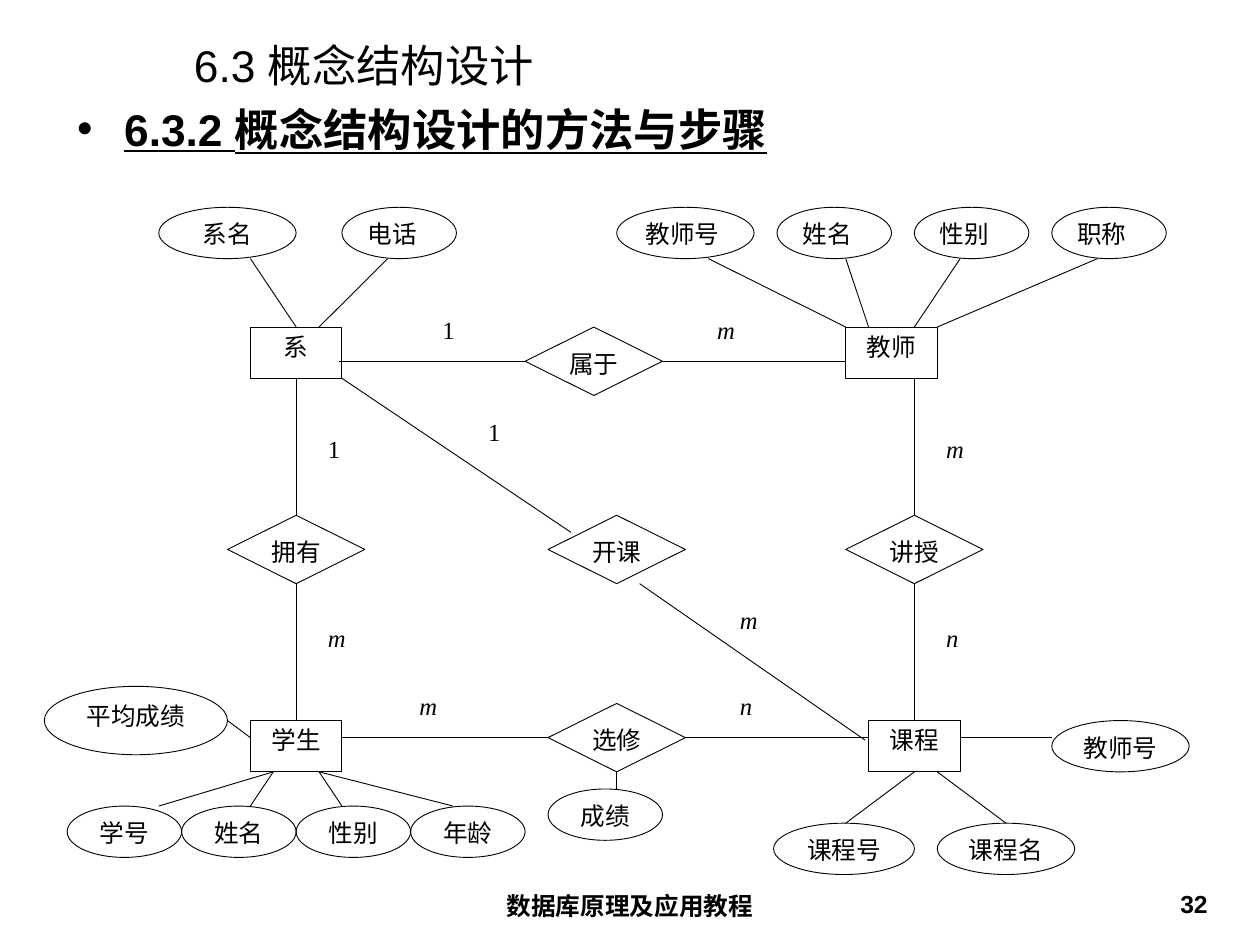
from typing import NamedTuple

from lxml.etree import SubElement
from pptx import Presentation
from pptx.dml.color import RGBColor
from pptx.enum.shapes import MSO_CONNECTOR, MSO_SHAPE
from pptx.enum.text import MSO_ANCHOR, PP_ALIGN
from pptx.oxml.ns import qn
from pptx.util import Cm, Pt

COLORS = {"ink": "000000", "paper": "FFFFFF"}
GRID_COLUMNS, GRID_ROWS = 50, 39
WIDE_MARGINS, NARROW_MARGINS = (0.36, 0.18), (0.25, 0.13)
LEFT, CENTER, RIGHT = PP_ALIGN.LEFT, PP_ALIGN.CENTER, PP_ALIGN.RIGHT

ENTITIES = [("系", 9, 7), ("教师", 35, 7), ("学生", 9, 30), ("课程", 36, 30)]
RELATIONS = [
    ("属于", 21, 7), ("拥有", 8, 18), ("开课", 22, 18),
    ("讲授", 35, 18), ("选修", 22, 29),
]
ATTRIBUTES = [
    ("系名", 5, 0, 6, 3, CENTER), ("电话", 13, 0, 5, 3, LEFT),
    ("教师号", 25, 0, 6, 3, LEFT),
    *[(name, 32 + 6 * i, 0, 5, 3, LEFT) for i, name in enumerate(["姓名", "性别", "职称"])],
    *[(name, 1 + 5 * i, 35, 5, 3, CENTER)
      for i, name in enumerate(["学号", "姓名", "性别", "年龄"])],
    ("平均成绩", 0, 28, 8, 4, CENTER), ("成绩", 22, 34, 5, 3, CENTER),
    ("教师号", 44, 30, 6, 3, CENTER), ("课程号", 31.85, 36, 6.15, 3, CENTER),
    ("课程名", 39, 36, 6, 3, CENTER),
]
CARDINALITIES = [
    ("1", 17, 6), ("m", 29, 6), ("1", 12, 13), ("m", 12, 24), ("1", 19, 12),
    ("m", 30, 23), ("m", 39, 13), ("n", 39, 24), ("m", 16, 28), ("n", 30, 28),
]
LINKS = [
    ((9, 3), (11, 7)), ((12, 7), (15, 3)),
    ((29, 3), (35, 7)), ((35, 3), (36, 7)), ((40, 3), (38, 7)), ((46, 3), (39, 7)),
    ((12.85, 9), (21, 9)), ((27, 9), (35, 9)),
    ((11, 10), (11, 18)), ((11, 22), (11, 30)),
    ((13, 10), (23, 19)), ((26, 22), (35.85, 31.15)),
    ((38, 10), (38, 18)), ((38, 22), (38, 30)),
    ((13, 31), (22, 31)), ((28, 31), (36, 31)), ((40, 31), (44, 31)),
    ((8, 30), (9, 31)), ((25, 33), (25, 34)),
    ((10, 33), (5, 35)), ((10, 33), (9, 35)), ((12, 33), (13, 35)), ((12, 33), (17.85, 35)),
    ((38, 33), (35, 36)), ((39, 33), (42, 36)),
]


class Box(NamedTuple):
    """A rectangle in centimetres."""
    left: float
    top: float
    width: float
    height: float

    def lengths(self):
        """Return the four sides as slide lengths."""
        return [Cm(side) for side in self]

    def cell(self, x, y, width, height):
        """Return the box for a span of grid cells."""
        column, row = self.width / GRID_COLUMNS, self.height / GRID_ROWS
        return Box(self.left + x * column, self.top + y * row, width * column, height * row)


def write(shape, text, size, font, align=LEFT, margins=NARROW_MARGINS, bold=False):
    """Fill a shape with one formatted paragraph and return it."""
    frame = shape.text_frame
    frame.text = text
    frame.word_wrap = True
    frame.vertical_anchor = MSO_ANCHOR.TOP
    frame.margin_left = frame.margin_right = Cm(margins[0])
    frame.margin_top = frame.margin_bottom = Cm(margins[1])
    para = frame.paragraphs[0]
    para.alignment = align
    span = para.runs[0]
    span.font.size = Pt(size)
    span.font.name = font
    span.font.bold = bold
    span.font.color.rgb = RGBColor.from_string(COLORS["ink"])
    return para


def draw_heading(page, box):
    """Place the chapter title above the bulleted section title."""
    title = page.shapes.add_textbox(*Box(box.left + 3.35, box.top, 30.05, 1.45).lengths())
    write(title, "6.3 概念结构设计", 36, "Arial", margins=WIDE_MARGINS)
    title.text_frame.vertical_anchor = MSO_ANCHOR.MIDDLE
    section = page.shapes.add_textbox(*Box(box.left, box.top + 1.6, 32.51, 2.26).lengths())
    para = write(section, "6.3.2 概念结构设计的方法与步骤", 36, "Arial",
                 margins=WIDE_MARGINS, bold=True)
    para.runs[0].font.underline = True
    settings = para._p.get_or_add_pPr()
    settings.set("marL", str(Cm(1.35)))
    settings.set("indent", str(-Cm(1.35)))
    SubElement(settings, qn("a:buFont"), typeface="Arial")
    SubElement(settings, qn("a:buChar"), char="•")


def draw_footer(page, box):
    """Place the course name in the middle and the page number at the right."""
    course = page.shapes.add_textbox(*Box(box.left, box.top, 11.43, box.height).lengths())
    write(course, "数据库原理及应用教程", 20, "Arial", CENTER, WIDE_MARGINS, True)
    number_box = Box(box.left + box.width - 8.43, box.top, 8.43, box.height)
    number = page.shapes.add_textbox(*number_box.lengths())
    write(number, "32", 20, "Arial", RIGHT, bold=True)


def draw_node(page, kind, text, box, align=CENTER):
    """Draw one outlined node of the diagram."""
    node = page.shapes.add_shape(kind, *box.lengths())
    node.shadow.inherit = False
    node.fill.background()
    node.line.color.rgb = RGBColor.from_string(COLORS["ink"])
    node.line.width = Pt(0.75)
    write(node, text, 20, "Times New Roman", align)
    return node


def draw_link(page, box, ends, sites):
    """Draw a line between two grid points, joined to any node side found there."""
    points = [box.cell(x, y, 0, 0).lengths()[:2] for x, y in ends]
    link = page.shapes.add_connector(MSO_CONNECTOR.STRAIGHT, *points[0], *points[1])
    link.line.color.rgb = RGBColor.from_string(COLORS["ink"])
    link.line.width = Pt(0.75)
    SubElement(link._element.spPr, qn("a:effectLst"))
    for point, connect in zip(ends, (link.begin_connect, link.end_connect)):
        if point in sites:
            connect(*sites[point])


def draw_diagram(page, box):
    """Draw the entity relationship diagram on a grid inside the box."""
    sites = {}
    groups = [(MSO_SHAPE.RECTANGLE, ENTITIES, 4, 3), (MSO_SHAPE.DIAMOND, RELATIONS, 6, 4)]
    for kind, nodes, width, height in groups:
        for text, x, y in nodes:
            node = draw_node(page, kind, text, box.cell(x, y, width, height))
            middle_x, middle_y = x + width / 2, y + height / 2
            sides = [(middle_x, y), (x, middle_y), (middle_x, y + height), (x + width, middle_y)]
            sites.update({side: (node, index) for index, side in enumerate(sides)})
    for text, x, y, width, height, align in ATTRIBUTES:
        draw_node(page, MSO_SHAPE.OVAL, text, box.cell(x, y, width, height), align)
    for text, x, y in CARDINALITIES:
        label = page.shapes.add_textbox(*box.cell(x, y, 3, 3).lengths())
        para = write(label, text, 20, "Times New Roman")
        para.runs[0].font.italic = text.isalpha()
    for ends in LINKS:
        draw_link(page, box, ends, sites)


def main():
    """Build the slide and save it."""
    deck = Presentation()
    deck.slide_width, deck.slide_height = Cm(36.12), Cm(27.08)
    page = deck.slides.add_slide(deck.slide_layouts[6])
    page.background.fill.solid()
    page.background.fill.fore_color.rgb = RGBColor.from_string(COLORS["paper"])
    draw_heading(page, Box(1.85, 1.14, 33.4, 3.86))
    draw_footer(page, Box(12.34, 25.35, 22.53, 1.4))
    draw_diagram(page, Box(1.27, 5.94, 32.82, 19.12))
    deck.save("out.pptx")


if __name__ == "__main__":
    main()
